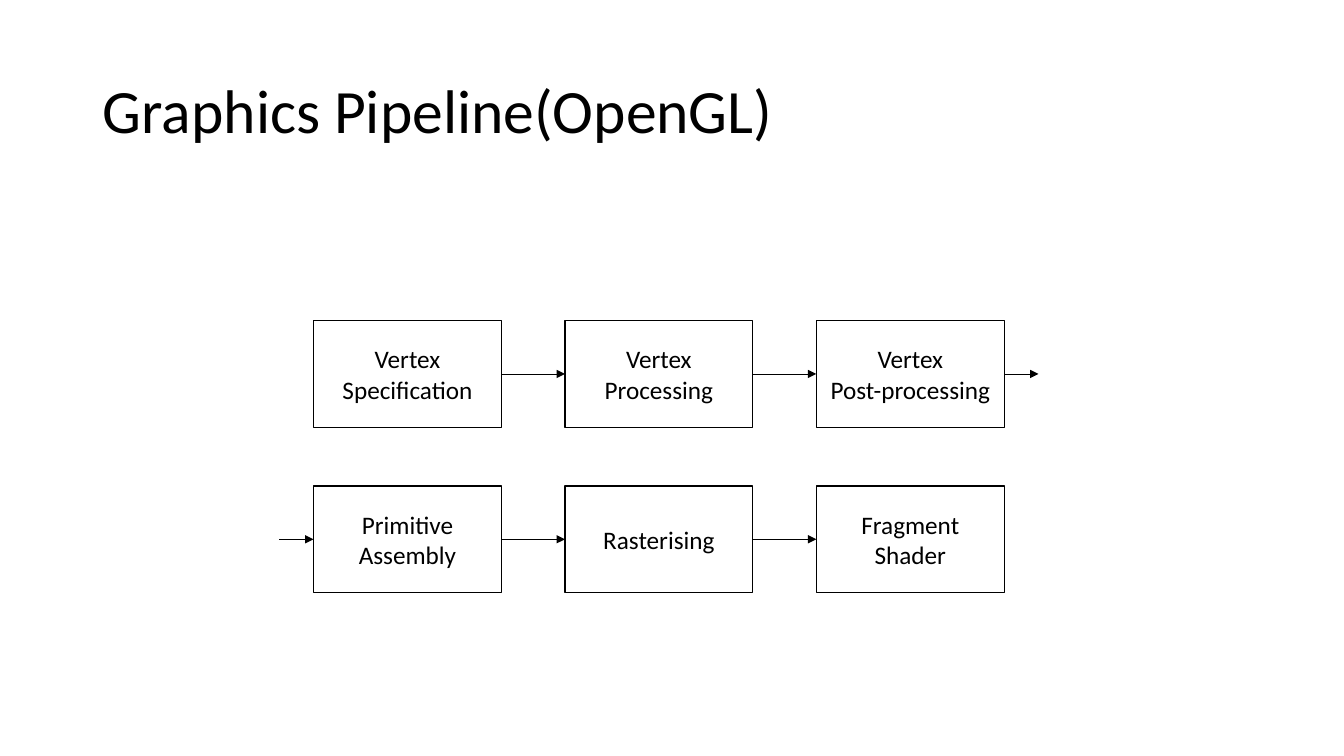
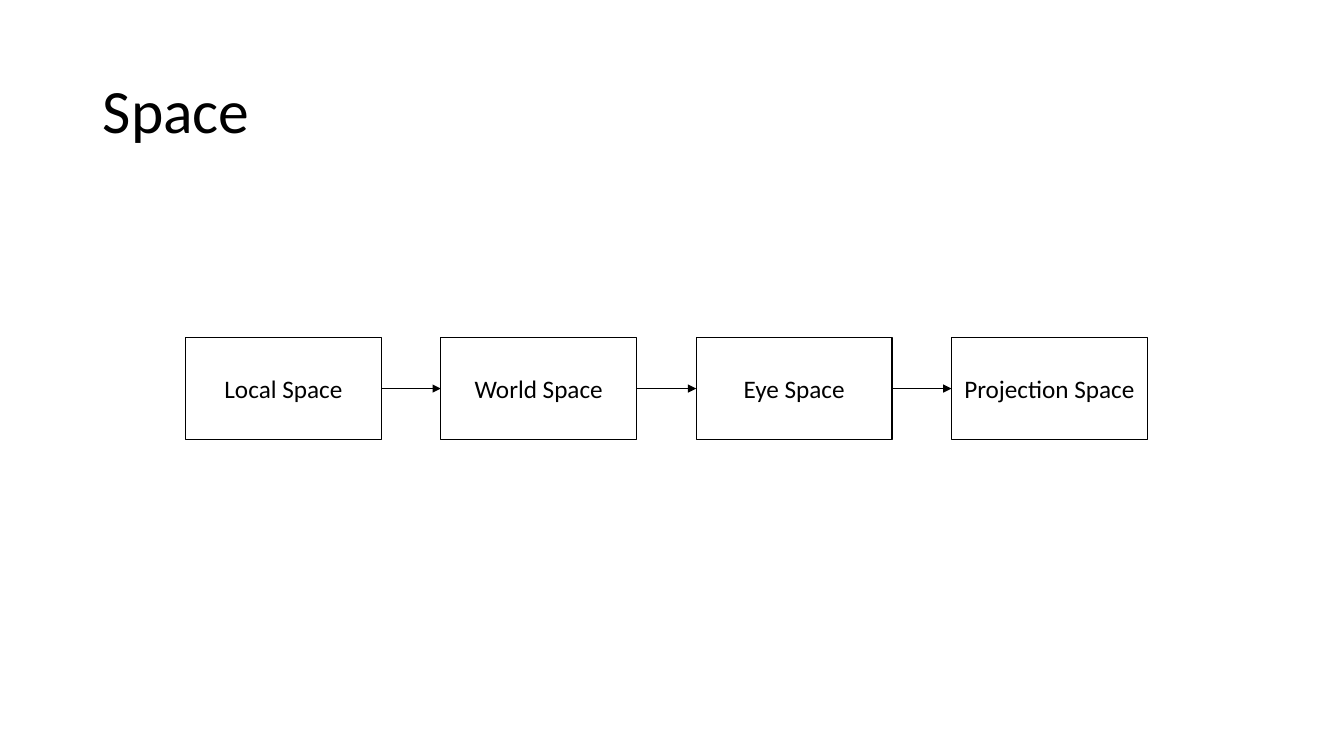
from dataclasses import dataclass

from lxml.etree import SubElement
from pptx import Presentation
from pptx.dml.color import RGBColor
from pptx.enum.shapes import MSO_CONNECTOR, MSO_SHAPE
from pptx.enum.text import MSO_ANCHOR, PP_ALIGN
from pptx.oxml.ns import qn
from pptx.util import Inches, Pt


@dataclass(frozen=True)
class Theme:
    ink: RGBColor = RGBColor(0, 0, 0)
    font: str = "Calibri"
    title_size: float = 44
    label_size: float = 18
    arrow_weight: float = 0.5
    title_spacing: float = 0.9


@dataclass(frozen=True)
class Box:
    left: float
    top: float
    width: float
    height: float

    def lengths(self):
        return [Inches(v) for v in (self.left, self.top, self.width, self.height)]


THEME = Theme()
SLIDE_WIDTH, SLIDE_HEIGHT = 13.33, 7.5
TITLE_BOX = Box(0.92, 0.4, 11.5, 1.45)
TITLE_ONLY = 5
RIGHT_SIDE, LEFT_SIDE = 3, 1
STUB_LENGTH = 0.34


def add_text(paragraph, text, size, alignment):
    paragraph.alignment = alignment
    run = paragraph.add_run()
    run.text = text
    run.font.name = THEME.font
    run.font.size = Pt(size)
    run.font.color.rgb = THEME.ink


def add_titled_slide(deck, title):
    slide = deck.slides.add_slide(deck.slide_layouts[TITLE_ONLY])
    heading = slide.shapes.title
    heading.left, heading.top, heading.width, heading.height = TITLE_BOX.lengths()
    heading.text_frame.vertical_anchor = MSO_ANCHOR.MIDDLE
    paragraph = heading.text_frame.paragraphs[0]
    paragraph.line_spacing = THEME.title_spacing
    add_text(paragraph, title, THEME.title_size, PP_ALIGN.LEFT)
    return slide


def add_stage(slide, box, label, outline):
    stage = slide.shapes.add_shape(MSO_SHAPE.RECTANGLE, *box.lengths())
    stage.shadow.inherit = False
    stage.fill.background()
    stage.line.color.rgb = THEME.ink
    stage.line.width = Pt(outline)
    frame = stage.text_frame
    frame.word_wrap = False
    frame.vertical_anchor = MSO_ANCHOR.MIDDLE
    for index, line in enumerate(label.split("\n")):
        paragraph = frame.add_paragraph() if index else frame.paragraphs[0]
        add_text(paragraph, line, THEME.label_size, PP_ALIGN.CENTER)
    return stage


def add_arrow(slide, start_x, end_x, y, source=None, target=None):
    arrow = slide.shapes.add_connector(
        MSO_CONNECTOR.STRAIGHT, Inches(start_x), Inches(y), Inches(end_x), Inches(y)
    )
    arrow.line.color.rgb = THEME.ink
    arrow.line.width = Pt(THEME.arrow_weight)
    SubElement(arrow.line._get_or_add_ln(), qn("a:tailEnd"), type="triangle")
    SubElement(arrow._element.spPr, qn("a:effectLst"))
    if source is not None:
        arrow.begin_connect(source, RIGHT_SIDE)
    if target is not None:
        arrow.end_connect(target, LEFT_SIDE)


def add_chain(slide, box, labels, gap, outline, enters=False, leaves=False):
    stage_width = (box.width - gap * (len(labels) - 1)) / len(labels)
    pitch = stage_width + gap
    middle = box.top + box.height / 2
    right = box.left + box.width
    stages = [
        add_stage(
            slide,
            Box(box.left + column * pitch, box.top, stage_width, box.height),
            label,
            outline,
        )
        for column, label in enumerate(labels)
    ]
    for column, (source, target) in enumerate(zip(stages, stages[1:]), start=1):
        target_x = box.left + column * pitch
        add_arrow(slide, target_x - gap, target_x, middle, source, target)
    if enters:
        add_arrow(slide, box.left - STUB_LENGTH, box.left, middle, target=stages[0])
    if leaves:
        add_arrow(slide, right, right + STUB_LENGTH, middle, source=stages[-1])


def build_pipeline_slide(deck):
    slide = add_titled_slide(deck, "Graphics Pipeline(OpenGL)")
    area = Box(3.11, 3.18, 6.85, 2.7)
    row_height = 1.06
    row_pitch = area.height - row_height
    rows = [
        ["Vertex\nSpecification", "Vertex\nProcessing", "Vertex\nPost-processing"],
        ["Primitive\nAssembly", "Rasterising", "Fragment\nShader"],
    ]
    for row, labels in enumerate(rows):
        add_chain(
            slide,
            Box(area.left, area.top + row * row_pitch, area.width, row_height),
            labels,
            gap=0.63,
            outline=1,
            enters=row > 0,
            leaves=row < len(rows) - 1,
        )


def build_space_slide(deck):
    slide = add_titled_slide(deck, "Space")
    labels = ["Local Space", "World Space", "Eye Space", "Projection Space"]
    add_chain(slide, Box(1.84, 3.35, 9.54, 1.01), labels, gap=0.59, outline=0.75)


def main():
    deck = Presentation()
    deck.slide_width = Inches(SLIDE_WIDTH)
    deck.slide_height = Inches(SLIDE_HEIGHT)
    build_pipeline_slide(deck)
    build_space_slide(deck)
    deck.save("out.pptx")


if __name__ == "__main__":
    main()
